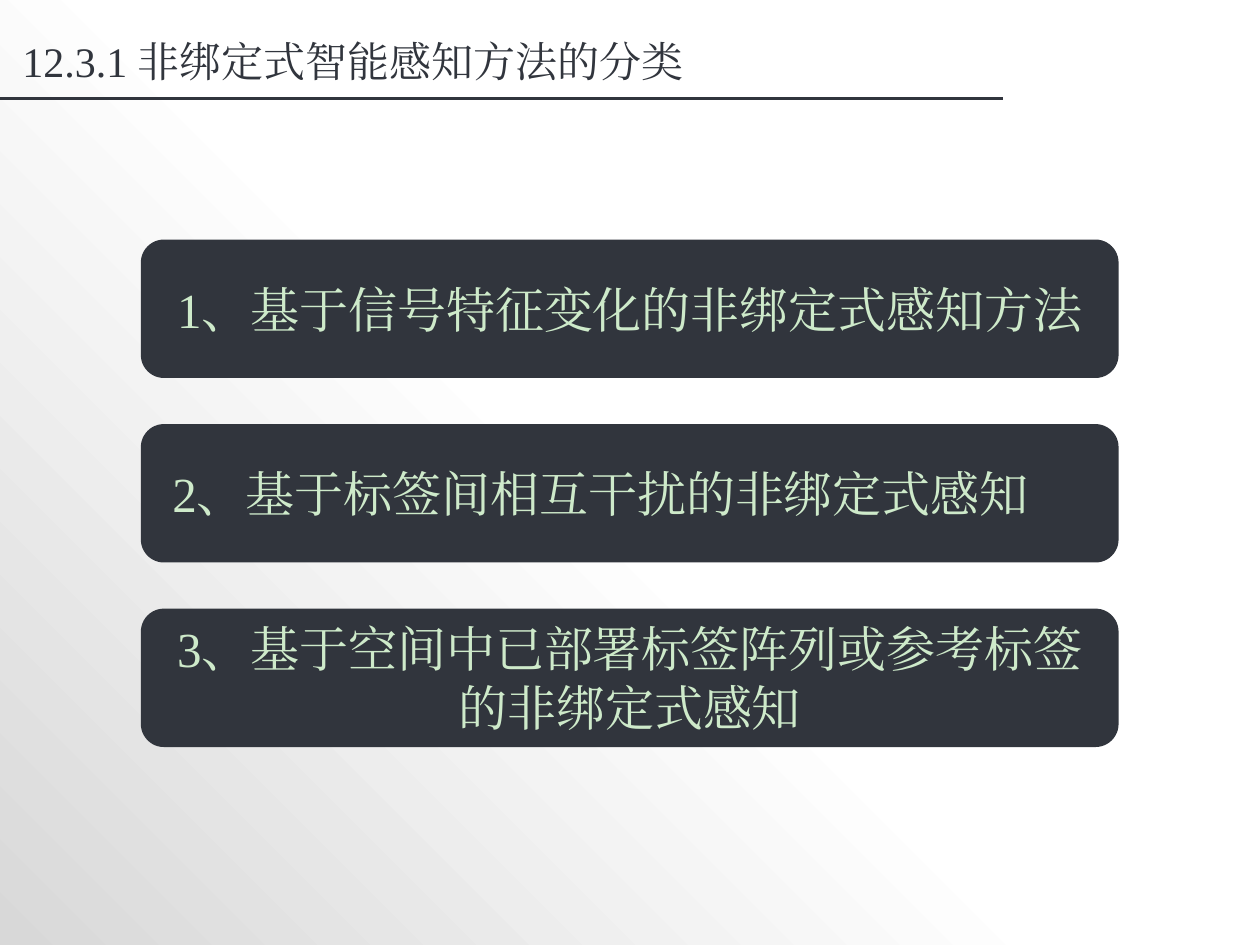
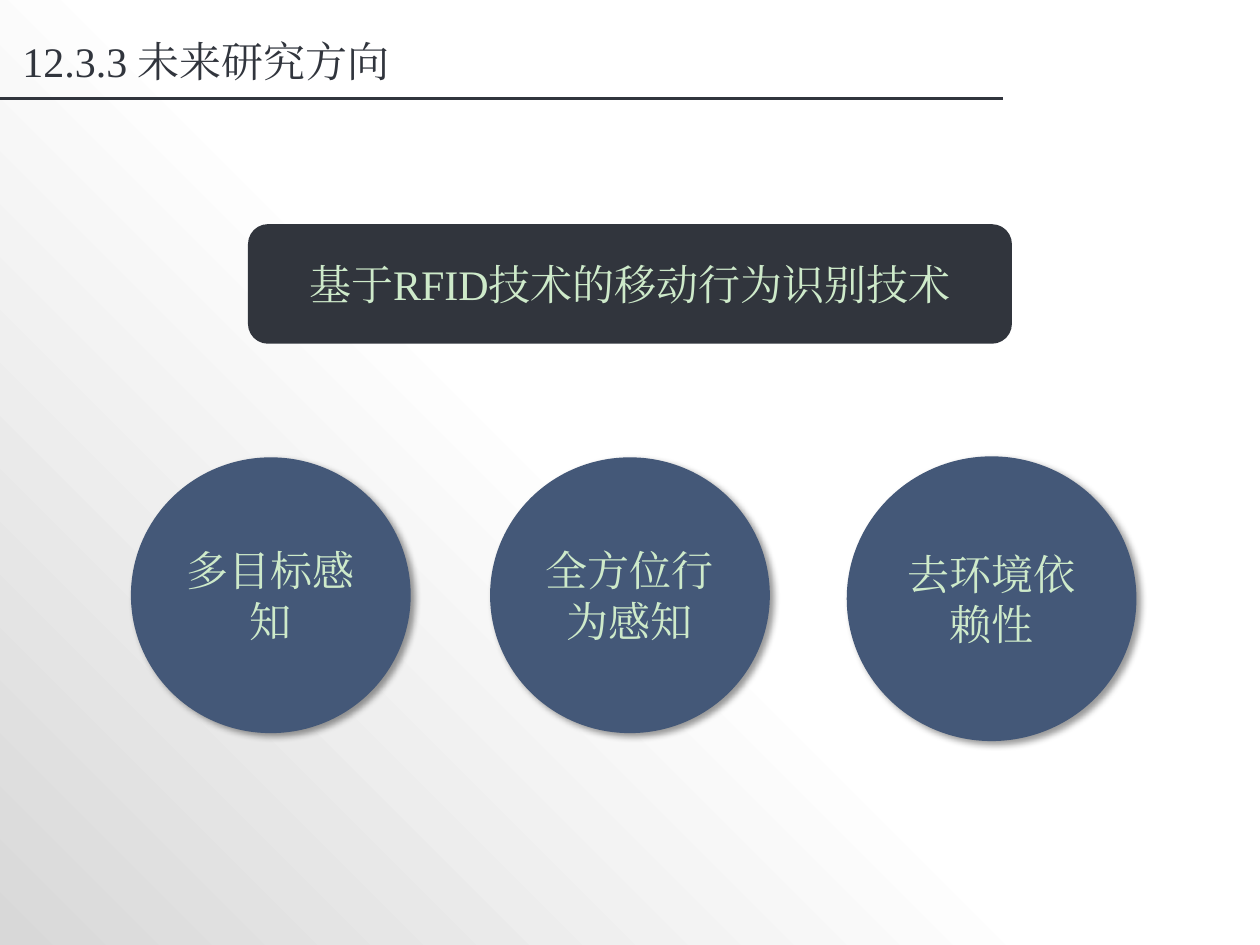
from copy import deepcopy

from lxml import etree
from pptx import Presentation
from pptx.dml.color import RGBColor
from pptx.enum.shapes import MSO_CONNECTOR, MSO_SHAPE as SHAPE
from pptx.enum.text import MSO_ANCHOR as ANCHOR, PP_ALIGN as ALIGN
from pptx.oxml.ns import qn
from pptx.util import Cm, Pt

DARK, BLUE, MINT = "31353D", "445878", "CEEACA"
GREY, WHITE, BLACK = "D8D8D8", "FFFFFF", "000000"
FONT = "Times New Roman"
TITLE_BOX = (0.2, 0.48, 16, 1.5)
RULE_END = 20.22


def rgb(value):
    return RGBColor.from_string(value)


def write(sp, text, size, color, align=ALIGN.CENTER, indent=0.25):
    tf = sp.text_frame
    frame_format = {"word_wrap": True, "vertical_anchor": ANCHOR.MIDDLE,
                    "margin_left": Cm(indent)}
    for name, value in frame_format.items():
        setattr(tf, name, value)
    p = tf.paragraphs[0]
    p.alignment = align
    r = p.add_run()
    r.text = text
    for name, value in {"name": FONT, "size": Pt(size)}.items():
        setattr(r.font, name, value)
    r.font.color.rgb = rgb(color)
    # Same typeface for the Chinese characters
    etree.SubElement(r.font._element, qn("a:ea"), typeface=FONT)


def add_block(s, kind, box, fill):
    sp = s.shapes.add_shape(kind, *map(Cm, box))
    sp.shadow.inherit = False
    sp.fill.solid()
    sp.fill.fore_color.rgb = rgb(fill)
    sp.line.fill.background()
    return sp


def add_shadow(sp):
    effects = sp._element.spPr.find(qn("a:effectLst"))
    shadow = etree.SubElement(effects, qn("a:outerShdw"), blurRad=str(Pt(4)),
                              dist=str(Pt(3)), dir=str(45 * 60000),
                              algn="tl", rotWithShape="0")
    color = etree.SubElement(shadow, qn("a:srgbClr"), val=BLACK)
    etree.SubElement(color, qn("a:alpha"), val="40000")


def paint_background(s):
    fill = s.background.fill
    fill.gradient()
    fill.gradient_angle = 45
    for stop, color, position in zip(fill.gradient_stops, (GREY, WHITE), (0, 0.48)):
        stop.color.rgb = rgb(color)
        stop.position = position
    # Stay white up to the far corner
    last = s.background._cSld.findall(".//" + qn("a:gs"))[-1]
    end = deepcopy(last)
    end.set("pos", "100000")
    last.addnext(end)


def add_title(s, text, box):
    left, top, width, height = box
    tb = s.shapes.add_textbox(*map(Cm, box))
    write(tb, text, 24, DARK, ALIGN.LEFT)
    # Rule under the title, from the slide edge
    y = Cm(top + height)
    rule = s.shapes.add_connector(MSO_CONNECTOR.STRAIGHT, 0, y, Cm(RULE_END), y)
    rule.line.color.rgb = rgb(DARK)
    rule.line.width = Pt(1.5)
    etree.SubElement(rule._element.spPr, qn("a:effectLst"))


def add_card(s, text, box, size, **layout):
    sp = add_block(s, SHAPE.FLOWCHART_ALTERNATE_PROCESS, box, DARK)
    write(sp, text, size, MINT, **layout)


def add_methods(s, methods, box):
    left, top, width, height = box
    card_height = 2.79
    pitch = (height - card_height) / (len(methods) - 1)
    for i, (text, layout) in enumerate(methods):
        add_card(s, text, (left, top + i * pitch, width, card_height), 28, **layout)


def add_directions(s, directions, box):
    left, top, width, height = box
    for text, dx, dy, w, h in directions:
        sp = add_block(s, SHAPE.OVAL, (left + dx, top + dy, w, h), BLUE)
        add_shadow(sp)
        write(sp, text, 24, MINT)


def new_slide(prs, title):
    s = prs.slides.add_slide(prs.slide_layouts[6])
    paint_background(s)
    add_title(s, title, TITLE_BOX)
    return s


def build_classification(prs):
    s = new_slide(prs, "12.3.1 非绑定式智能感知方法的分类")
    methods = [
        ("1、基于信号特征变化的非绑定式感知方法", {}),
        ("2、基于标签间相互干扰的非绑定式感知", {"align": ALIGN.LEFT, "indent": 0.5}),
        ("3、基于空间中已部署标签阵列或参考标签的非绑定式感知", {}),
    ]
    add_methods(s, methods, (2.84, 4.83, 19.71, 10.23))


def build_future(prs):
    s = new_slide(prs, "12.3.3 未来研究方向")
    add_card(s, "基于RFID技术的移动行为识别技术", (5, 4.52, 15.4, 2.41), 24)
    # Text, offset in the row, width and height
    directions = [
        ("多目标感知", 0, 0.02, 5.64, 5.56),
        ("全方位行为感知", 7.24, 0.02, 5.64, 5.56),
        ("去环境依赖性", 14.43, 0, 5.84, 5.74),
    ]
    add_directions(s, directions, (2.64, 9.2, 20.27, 5.74))


def main():
    prs = Presentation()
    prs.slide_width, prs.slide_height = Cm(25.4), Cm(19.05)
    build_classification(prs)
    build_future(prs)
    prs.save("out.pptx")


if __name__ == "__main__":
    main()
